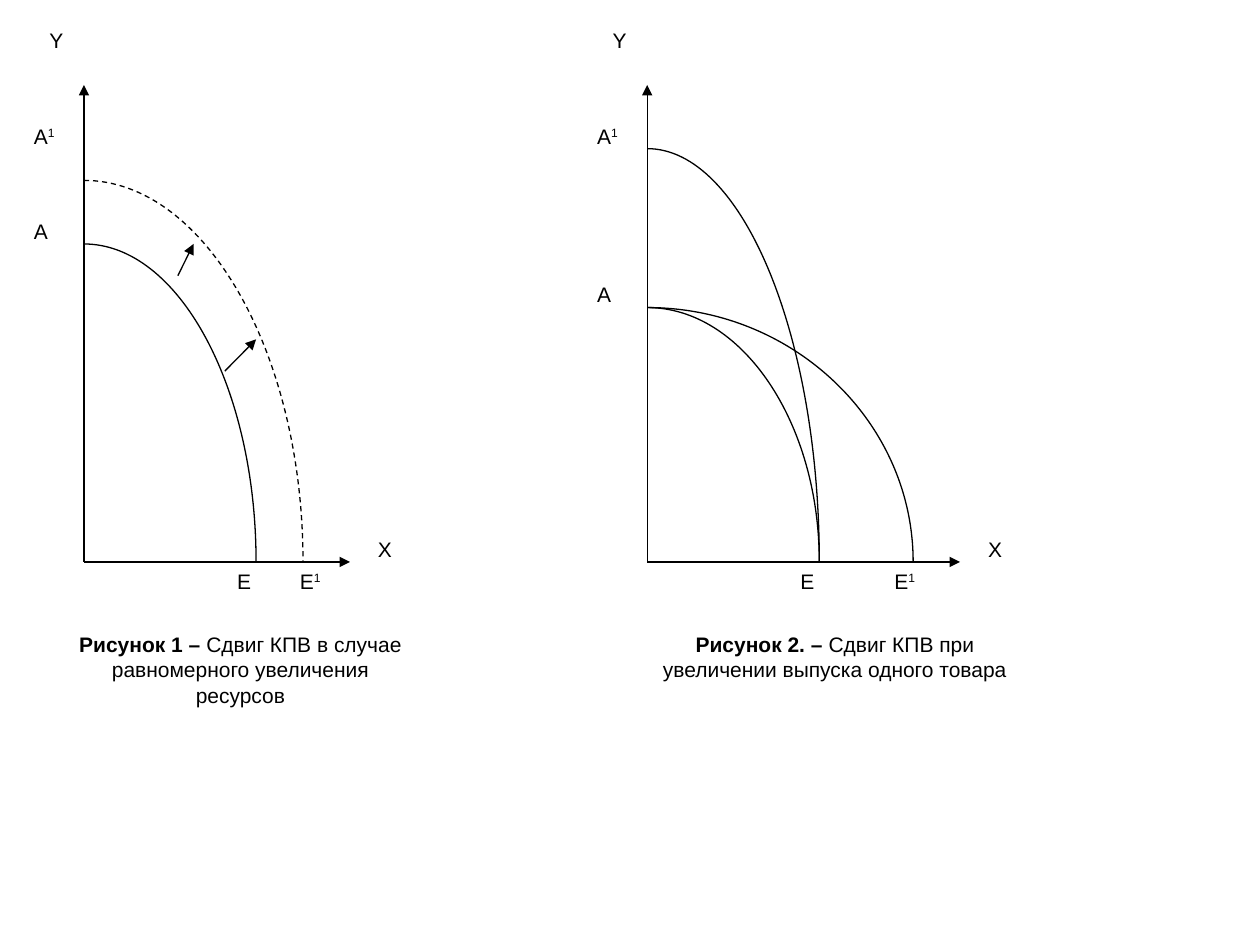
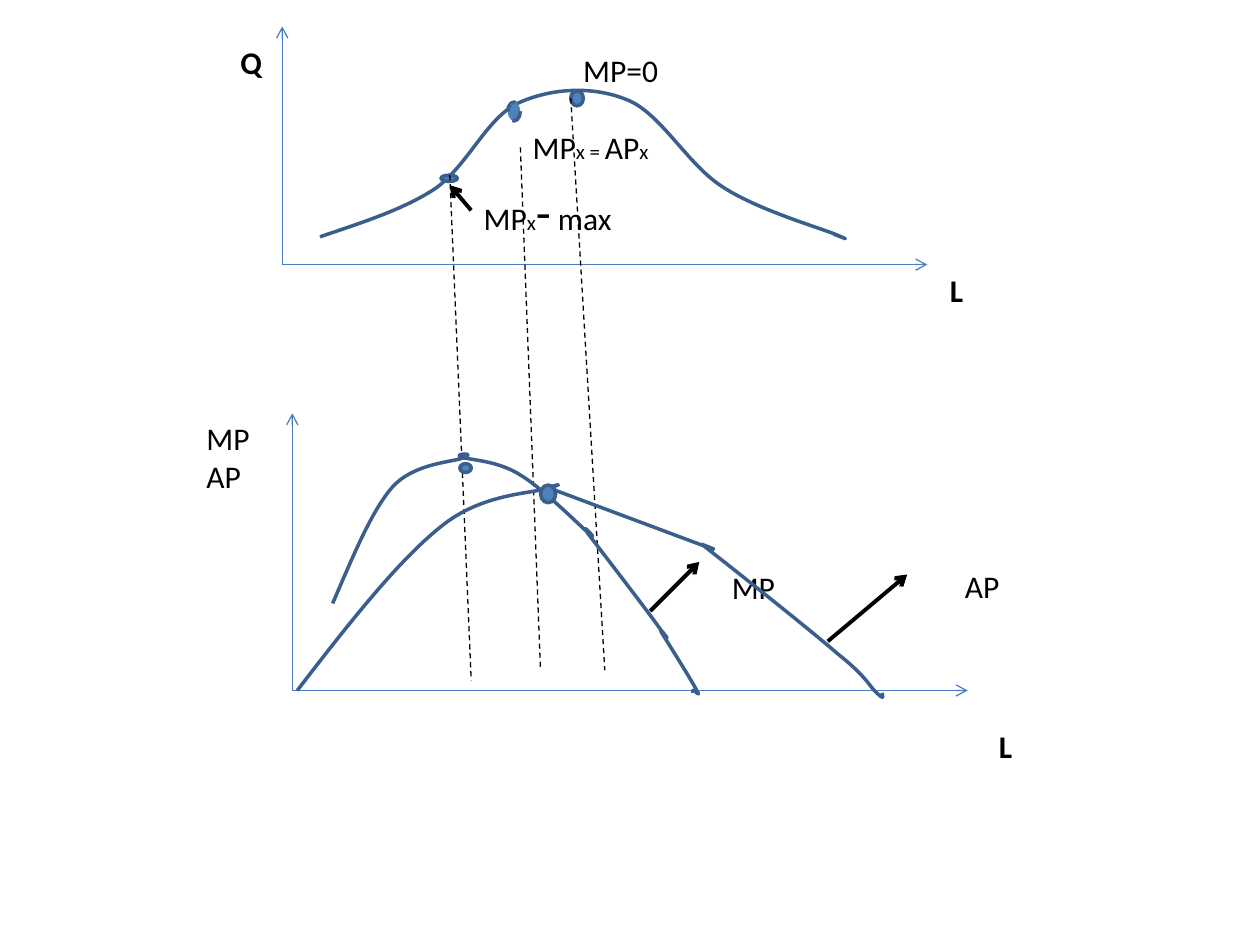
from dataclasses import dataclass
from typing import NamedTuple

from lxml.etree import SubElement
from pptx import Presentation
from pptx.dml.color import RGBColor
from pptx.enum.dml import MSO_LINE_DASH_STYLE as DASH
from pptx.enum.shapes import MSO_CONNECTOR, MSO_SHAPE
from pptx.enum.text import PP_ALIGN
from pptx.oxml.ns import qn
from pptx.util import Inches, Pt

COLORS = {"ink": "000000", "axis": "4B7EBC", "curve": "3A5F8C", "dot": "4F81BD"}
KAPPA = 0.55  # control point share for a quarter ellipse


@dataclass(frozen=True)
class Grid:
    """Maps columns and rows to slide lengths in inches."""
    left: float
    top: float
    col: float
    row: float

    def x(self, col: float) -> int:
        return Inches(self.left + col * self.col)

    def y(self, row: float) -> int:
        return Inches(self.top + row * self.row)


@dataclass(frozen=True)
class Typeface:
    name: str
    size: float


class Stroke(NamedTuple):
    color: str = "ink"
    width: float = 0.75
    dashed: bool = False
    arrow: str = ""


class Run(NamedTuple):
    text: str
    size: float = 0
    bold: bool = False
    raised: bool = False


class Label(NamedTuple):
    col: float
    row: float
    cols: float
    rows: float
    paragraphs: list[list[Run]]
    align: PP_ALIGN = PP_ALIGN.LEFT


class Line(NamedTuple):
    start: tuple[float, float]
    end: tuple[float, float]
    stroke: Stroke


class Curve(NamedTuple):
    """A start point followed by triples of cubic Bezier points."""
    points: list[tuple[float, float]]
    stroke: Stroke


class Dot(NamedTuple):
    col: float
    row: float
    cols: float
    rows: float
    stroke: Stroke


class Panel(NamedTuple):
    axis: float
    axis_end: float
    a_row: float
    e_col: float
    e1_col: float
    caption_col: float
    caption: list[Run]


# Drawing helpers
def rgb(name: str) -> RGBColor:
    return RGBColor.from_string(COLORS[name])


def apply_stroke(line, stroke: Stroke) -> None:
    line.color.rgb = rgb(stroke.color)
    line.width = Pt(stroke.width)
    if stroke.dashed:
        line.dash_style = DASH.DASH
    if stroke.arrow:
        SubElement(line._get_or_add_ln(), qn("a:tailEnd"), type=stroke.arrow)


def draw_label(s, grid: Grid, face: Typeface, label: Label) -> None:
    left, top = grid.x(label.col), grid.y(label.row)
    sp = s.shapes.add_textbox(left, top, grid.x(label.col + label.cols) - left,
                              grid.y(label.row + label.rows) - top)
    tf = sp.text_frame
    tf.word_wrap = True
    for i, runs in enumerate(label.paragraphs):
        p = tf.add_paragraph() if i else tf.paragraphs[0]
        p.alignment = label.align
        for run in runs:
            r = p.add_run()
            r.text = run.text
            r.font.name = face.name
            r.font.size = Pt(run.size or face.size)
            r.font.bold = run.bold
            r.font.color.rgb = rgb("ink")
            if run.raised:
                r._r.get_or_add_rPr().set("baseline", "30000")


def draw_line(s, grid: Grid, face: Typeface, line: Line) -> None:
    (x1, y1), (x2, y2) = line.start, line.end
    sp = s.shapes.add_connector(MSO_CONNECTOR.STRAIGHT, grid.x(x1), grid.y(y1),
                                grid.x(x2), grid.y(y2))
    apply_stroke(sp.line, line.stroke)
    SubElement(sp._element.spPr, qn("a:effectLst"))


def draw_curve(s, grid: Grid, face: Typeface, curve: Curve) -> None:
    start, *rest = [(grid.x(x), grid.y(y)) for x, y in curve.points]
    builder = s.shapes.build_freeform(*start)
    builder.add_line_segments(rest, close=False)
    sp = builder.convert_to_shape()
    # Every three straight segments become one cubic segment
    outline = next(sp._element.iter(qn("a:path")))
    for i, segment in enumerate(outline.findall(qn("a:lnTo"))):
        if i % 3 == 0:
            cubic = SubElement(outline, qn("a:cubicBezTo"))
        cubic.append(segment[0])
        outline.remove(segment)
    sp.shadow.inherit = False
    sp.fill.background()
    apply_stroke(sp.line, curve.stroke)


def draw_dot(s, grid: Grid, face: Typeface, dot: Dot) -> None:
    sp = s.shapes.add_shape(MSO_SHAPE.FLOWCHART_CONNECTOR, grid.x(dot.col), grid.y(dot.row),
                            grid.x(dot.cols), grid.y(dot.rows))
    sp.shadow.inherit = False
    sp.fill.solid()
    sp.fill.fore_color.rgb = rgb("dot")
    apply_stroke(sp.line, dot.stroke)


DRAW = {Label: draw_label, Line: draw_line, Curve: draw_curve, Dot: draw_dot}


def add_slide(prs, grid: Grid, face: Typeface, items: list) -> None:
    s = prs.slides.add_slide(prs.slide_layouts[6])
    for item in items:
        DRAW[type(item)](s, grid, face, item)


# Slide 1: production possibility frontiers
BASE_ROW, AXIS_TOP = 17, 2
PPF_GRID = Grid(0.17, 0.17, (7.62 - 0.17) / 60, (4.46 - 0.17) / BASE_ROW)
PPF_AXIS = Stroke(arrow="triangle")


def frontier(axis: float, cols: float, top: float, dashed: bool = False) -> Curve:
    rows = BASE_ROW - top
    return Curve([(axis, top), (axis + KAPPA * cols, top),
                  (axis + cols, BASE_ROW - KAPPA * rows), (axis + cols, BASE_ROW)],
                 Stroke(dashed=dashed))


def mark(col: float, row: float, letter: str, primed: bool = False) -> Label:
    prime = [Run("1", raised=True)] if primed else []
    return Label(col, row, 5 if primed else 4, 3, [[Run(letter), *prime]])


def panel_items(panel: Panel) -> list:
    origin = (panel.axis, BASE_ROW)
    return [
        Label(panel.caption_col, BASE_ROW + 2, 24, 6, [panel.caption], PP_ALIGN.CENTER),
        Line(origin, (panel.axis, AXIS_TOP), PPF_AXIS),
        Line(origin, (panel.axis_end, BASE_ROW), PPF_AXIS),
        mark(panel.axis - 3, 0, "Y"),
        mark(panel.axis_end + 1, BASE_ROW - 1, "X"),
        mark(panel.axis - 4, 3, "A", primed=True),
        mark(panel.axis - 4, panel.a_row, "A"),
        mark(panel.e_col, BASE_ROW, "E"),
        mark(panel.e1_col, BASE_ROW, "E", primed=True),
    ]


EVEN_GROWTH = Panel(4, 21, 6, 13, 17, 2, [
    Run("Рисунок 1 –", bold=True),
    Run(" Сдвиг КПВ в случае равномерного увеличения ресурсов")])
ONE_GOOD = Panel(40, 60, 8, 49, 55, 40, [
    Run("Рисунок 2. –", bold=True),
    Run(" Сдвиг КПВ при увеличении выпуска одного товара")])

PPF_ITEMS = [
    *panel_items(EVEN_GROWTH),
    frontier(EVEN_GROWTH.axis, 11, 7),
    frontier(EVEN_GROWTH.axis, 14, 5, dashed=True),
    Line((10, 8), (11, 7), PPF_AXIS),
    Line((13, 11), (15, 10), PPF_AXIS),
    *panel_items(ONE_GOOD),
    *(frontier(ONE_GOOD.axis, cols, top) for cols, top in ((11, 4), (17, 9), (11, 9))),
]

# Slide 2: total, marginal and average product, on a grid of tenths of an inch
PRODUCT_GRID = Grid(0, 0, 0.1, 0.1)
AXIS = Stroke("axis", arrow="arrow")
CURVE = Stroke("curve", 2)
POINTER = Stroke(width=2.25, arrow="arrow")
GUIDE = Stroke(dashed=True)


def axes(col: float, row: float, top: float, right: float) -> list[Line]:
    return [Line((col, row), end, AXIS) for end in ((col, top), (right, row))]


def note(col: float, row: float, cols: float, *runs: Run, rows: float = 4) -> Label:
    return Label(col, row, cols, rows, [list(runs)])


TOTAL_PRODUCT = Curve([
    (25.4, 18.8), (28.6, 17.7), (31.9, 16.7), (34.5, 15), (37.1, 13.2), (38.6, 9.4),
    (41.1, 8.2), (43.7, 7), (47, 6.8), (49.7, 7.9), (52.4, 8.9), (54.5, 13),
    (57.3, 14.8), (60, 16.6), (64.8, 18), (66.3, 18.6), (67.7, 19.2), (67, 18.9),
    (66.2, 18.6)], CURVE)
MARGINAL_PRODUCT = Curve([
    (26.4, 47.9), (28, 44.2), (29.5, 40.5), (31.2, 38.6), (33, 36.7), (36, 36.7),
    (36.9, 36.3), (37.8, 35.9), (35.9, 36), (36.6, 36.3), (37.4, 36.5), (39.6, 36.6),
    (41.3, 37.7), (43, 38.7), (45.9, 41.6), (46.8, 42.4), (47.7, 43.2), (45.8, 41.1),
    (46.7, 42.4), (47.7, 43.7), (51.7, 48.9), (52.6, 50.2), (53.6, 51.5), (52.1, 49.4),
    (52.5, 50.2), (53, 51), (54.9, 54), (55.3, 54.8), (55.7, 55.5), (55.1, 54.7),
    (55, 54.8), (55, 54.8), (55, 54.9), (55, 55)], CURVE)
AVERAGE_PRODUCT = Curve([
    (23.6, 54.8), (27.6, 49.6), (31.6, 44.5), (35, 41.8), (38.3, 39.1), (42.3, 39.2),
    (43.7, 38.7), (45.2, 38.2), (43.5, 38.7), (43.5, 38.7), (43.5, 38.7), (55.8, 43.3),
    (55.8, 43.3), (57.8, 44), (55.7, 43.2), (55.7, 43.2), (57.5, 44.6), (64.2, 49.9),
    (66.5, 51.9), (68.9, 53.8), (69, 54.5), (69.6, 55), (70.2, 55.6), (70.1, 55.3),
    (70, 55)], CURVE)

PRODUCT_ITEMS = [
    *axes(22.4, 21, 2.1, 73.6),
    *axes(23.2, 54.8, 32.8, 76.8),
    # Total product
    TOTAL_PRODUCT,
    Dot(35, 13.9, 1.3, 0.5, CURVE),
    Dot(40.3, 8.1, 1, 1.5, Stroke("curve", 2, dashed=True)),
    Dot(45.3, 7.2, 1, 1.2, CURVE),
    note(37.4, 13.9, 13.4, Run("MP"), Run("x", 12), Run("-", 28), Run(" max"), rows=5.7),
    Line((37.4, 16.7), (35.7, 14.7), POINTER),
    note(41.3, 9.7, 13.4, Run("MP"), Run("x = ", 12), Run("AP"), Run("x", 12)),
    note(45.3, 3.6, 11.8, Run("MP=0")),
    note(18.1, 2.9, 4.3, Run("Q", bold=True)),
    note(74.4, 21, 5.5, Run("L", bold=True)),
    # Guides between the two charts
    Line((35.7, 13.9), (37.4, 54), GUIDE),
    Line((45.3, 7.8), (48, 53.2), GUIDE),
    Line((41.1, 8.2), (40.5, 8.3), Stroke("axis")),
    Line((41.3, 11.7), (42.9, 53.2), GUIDE),
    # Marginal and average product
    MARGINAL_PRODUCT,
    Dot(36.5, 36.8, 0.9, 0.7, CURVE),
    Line((51.6, 48.5), (55.5, 44.6), POINTER),
    note(57.1, 44.6, 10, Run("MP")),
    AVERAGE_PRODUCT,
    Dot(42.9, 38.5, 1.2, 1.4, CURVE),
    Line((65.7, 50.9), (72, 45.6), POINTER),
    note(75.6, 44.5, 7.9, Run("AP")),
    Label(15.4, 32.8, 6.3, 7.1, [[Run("MP")], [Run("AP")]]),
    note(78.3, 57.2, 5.2, Run("L", bold=True)),
]


def main() -> None:
    prs = Presentation()
    prs.slide_width, prs.slide_height = Inches(10), Inches(7.5)
    add_slide(prs, PPF_GRID, Typeface("Arial", 12), PPF_ITEMS)
    add_slide(prs, PRODUCT_GRID, Typeface("Calibri", 18), PRODUCT_ITEMS)
    prs.save("out.pptx")


if __name__ == "__main__":
    main()
